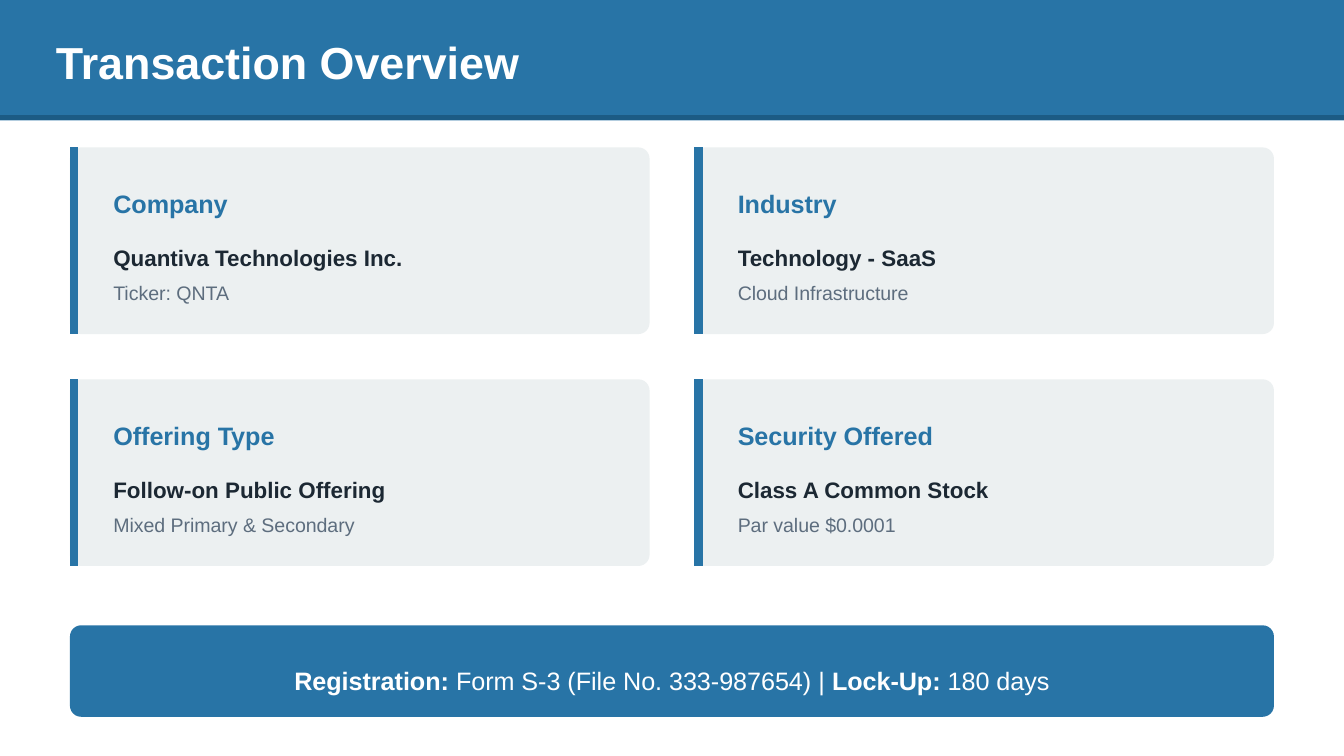
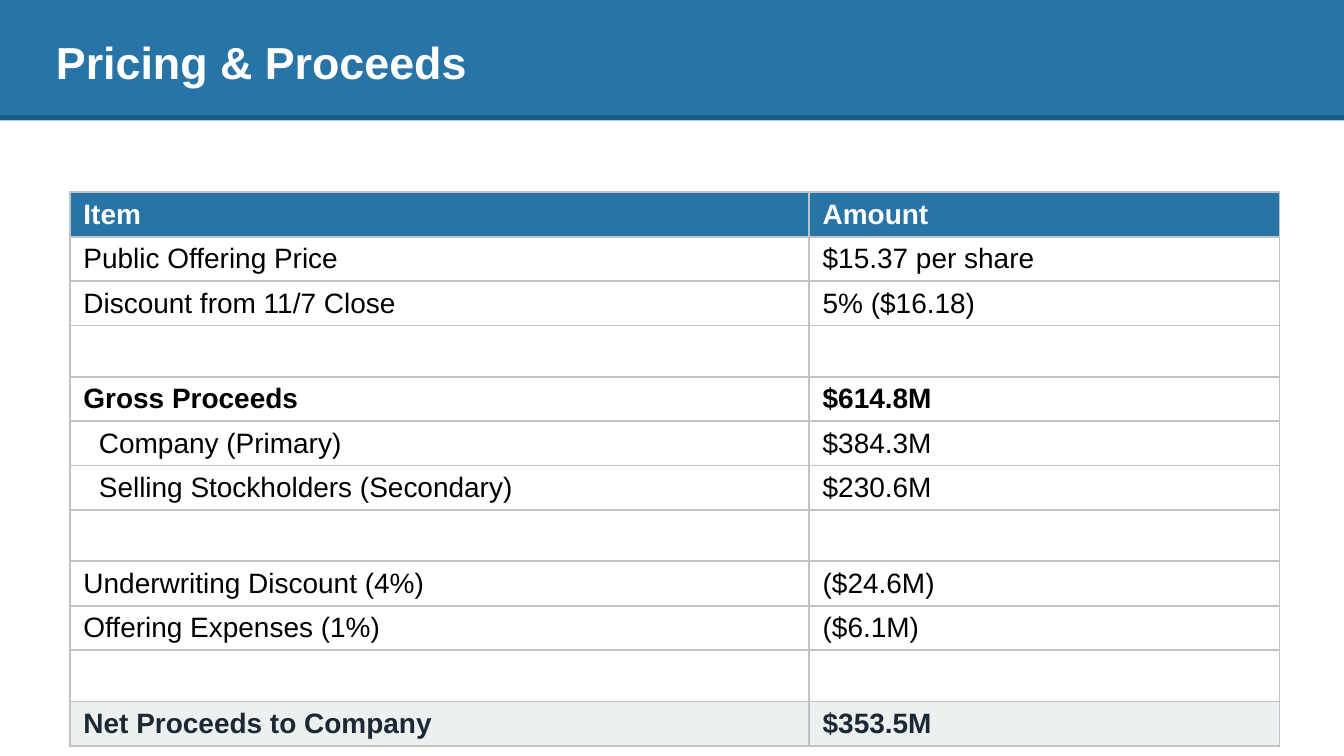
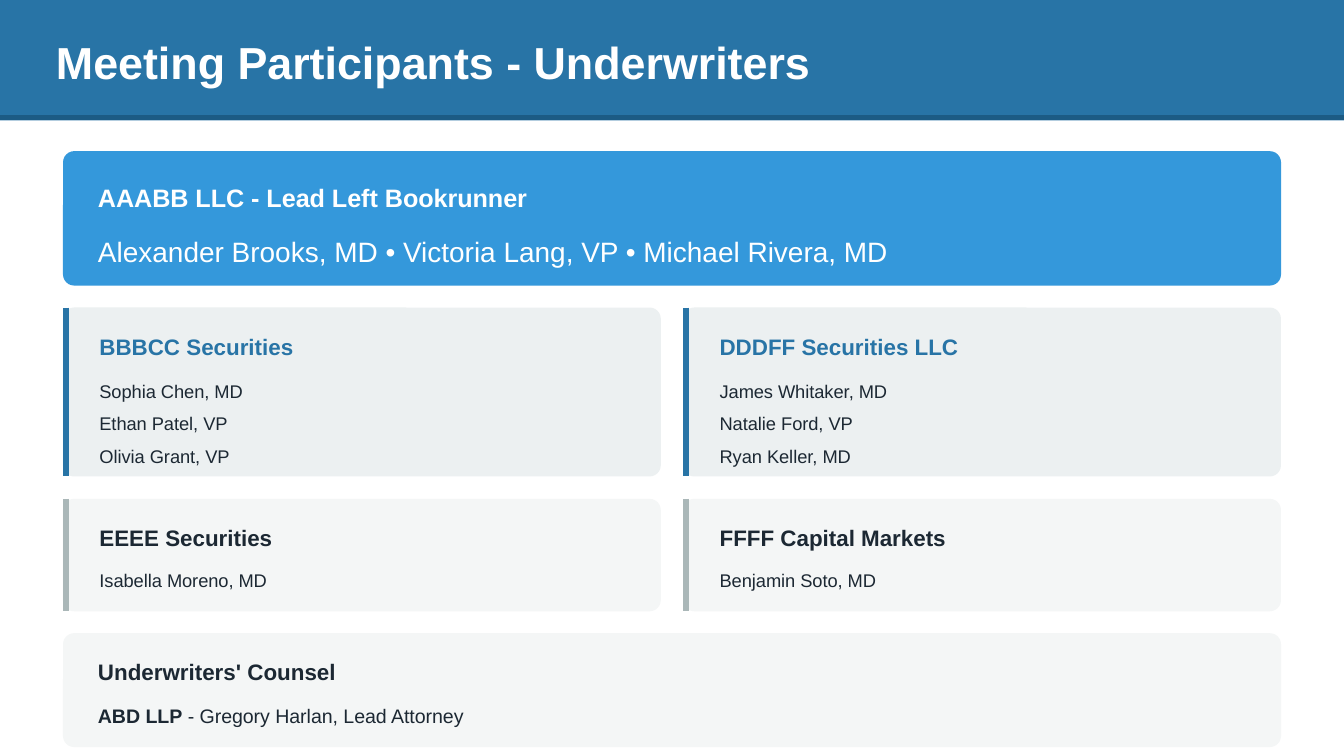
from itertools import product

from lxml import etree
from pptx import Presentation
from pptx.dml.color import RGBColor
from pptx.enum.shapes import MSO_CONNECTOR, MSO_SHAPE
from pptx.enum.text import MSO_ANCHOR, PP_ALIGN
from pptx.oxml.ns import qn
from pptx.util import Pt

RECTANGLE = MSO_SHAPE.RECTANGLE
ROUNDED = MSO_SHAPE.ROUNDED_RECTANGLE
STRAIGHT = MSO_CONNECTOR.STRAIGHT
LEFT, CENTER = PP_ALIGN.LEFT, PP_ALIGN.CENTER
TOP, MIDDLE = MSO_ANCHOR.TOP, MSO_ANCHOR.MIDDLE

WHITE = RGBColor(0xFF, 0xFF, 0xFF)
BLACK = RGBColor(0x00, 0x00, 0x00)
BLUE = RGBColor(0x28, 0x74, 0xA6)
DARK_BLUE = RGBColor(0x1C, 0x5B, 0x84)
BRIGHT_BLUE = RGBColor(0x34, 0x98, 0xDB)
INK = RGBColor(0x1C, 0x28, 0x33)
SLATE = RGBColor(0x5D, 0x6D, 0x7E)
CLOUD = RGBColor(0xEC, 0xF0, 0xF1)
MIST = RGBColor(0xF4, 0xF6, 0xF6)
STONE = RGBColor(0xAA, 0xB7, 0xB8)
BORDER = RGBColor(0xBD, 0xC3, 0xC7)

FONT = "Arial"
WIDTH, HEIGHT = 720, 405
RADIUS = 6
CELL_SIDE, CELL_EDGE = 7.2, 2.9


class Deck:
    """Holds the shared style and draws elements on the current slide."""

    def __init__(self):
        self.presentation = Presentation()
        self.presentation.slide_width = Pt(WIDTH)
        self.presentation.slide_height = Pt(HEIGHT)
        self.slide = None

    def new_slide(self, title, title_width=338):
        self.slide = self.presentation.slides.add_slide(self.presentation.slide_layouts[6])
        self.box(0, 0, WIDTH, 64.5, BLUE, RECTANGLE)
        self.line(0, 63, WIDTH, 63, DARK_BLUE, 3)
        self.text(30, 18.75, title_width, 24, title, 24, WHITE, bold=True)

    def box(self, left, top, width, height, fill, preset=ROUNDED):
        shape = self.slide.shapes.add_shape(preset, Pt(left), Pt(top), Pt(width), Pt(height))
        shape.shadow.inherit = False
        shape.fill.solid()
        shape.fill.fore_color.rgb = fill
        shape.line.fill.background()
        if preset == ROUNDED:
            shape.adjustments[0] = RADIUS / min(width, height)

    def line(self, x1, y1, x2, y2, color, weight):
        connector = self.slide.shapes.add_connector(STRAIGHT, Pt(x1), Pt(y1), Pt(x2), Pt(y2))
        connector.line.color.rgb = color
        connector.line.width = Pt(weight)
        etree.SubElement(connector._element.spPr, qn("a:effectLst"))

    def card(self, left, top, width, height, fill, stripe, weight):
        self.box(left, top, width, height, fill)
        center = left + weight / 2
        self.line(center, top, center, top + height, stripe, weight)

    def run(self, paragraph, text, size, color, bold):
        run = paragraph.add_run()
        run.text = text
        run.font.name = FONT
        run.font.size = Pt(size)
        run.font.color.rgb = color
        run.font.bold = bold

    def text(self, left, top, width, height, *lines_and_style, bold=False, spacing=1.0, align=LEFT):
        *lines, size, color = lines_and_style
        shape = self.slide.shapes.add_textbox(Pt(left), Pt(top), Pt(width), Pt(height))
        frame = shape.text_frame
        frame.word_wrap = True
        frame.vertical_anchor = TOP
        frame.margin_left = frame.margin_right = frame.margin_top = frame.margin_bottom = 0
        for index, line in enumerate(lines):
            paragraph = frame.add_paragraph() if index else frame.paragraphs[0]
            paragraph.alignment = align
            paragraph.line_spacing = spacing
            runs = [(line, bold)] if isinstance(line, str) else line
            for run_text, run_bold in runs:
                self.run(paragraph, run_text, size, color, run_bold)

    def cell_borders(self, cell):
        properties = cell._tc.get_or_add_tcPr()
        for side in ("a:lnL", "a:lnR", "a:lnT", "a:lnB"):
            border = etree.SubElement(properties, qn(side), w=str(Pt(1)))
            fill = etree.SubElement(border, qn("a:solidFill"))
            etree.SubElement(fill, qn("a:srgbClr"), val=str(BORDER))

    def table(self, left, top, column_widths, row_height, rows):
        """Draw rows of (texts, color, bold, fill, indent)."""
        frame = self.slide.shapes.add_table(
            len(rows), len(column_widths), Pt(left), Pt(top),
            Pt(sum(column_widths)), Pt(row_height * len(rows)))
        table = frame.table
        table.first_row = table.horz_banding = False
        for column, width in zip(table.columns, column_widths):
            column.width = Pt(width)
        for row, (texts, color, bold, fill, indent) in zip(table.rows, rows):
            row.height = Pt(row_height)
            for index, (cell, text) in enumerate(zip(row.cells, texts)):
                self.cell_borders(cell)
                if fill is None:
                    cell.fill.background()
                else:
                    cell.fill.solid()
                    cell.fill.fore_color.rgb = fill
                cell.vertical_anchor = MIDDLE
                cell.margin_left = Pt(CELL_SIDE + (0 if index else indent))
                cell.margin_top = cell.margin_bottom = Pt(CELL_EDGE)
                if text:
                    self.run(cell.text_frame.paragraphs[0], text, 15, color, bold)


def transaction_overview(deck):
    deck.new_slide("Transaction Overview")
    facts = [
        ("Company", "Quantiva Technologies Inc.", "Ticker: QNTA"),
        ("Industry", "Technology - SaaS", "Cloud Infrastructure"),
        ("Offering Type", "Follow-on Public Offering", "Mixed Primary & Secondary"),
        ("Security Offered", "Class A Common Stock", "Par value $0.0001"),
    ]
    positions = product((79, 203.25), (37.5, 372))
    for (top, left), (label, value, detail) in zip(positions, facts):
        deck.card(left, top, 310.5, 100, CLOUD, BLUE, 4.5)
        text_left = left + 23.25
        deck.text(text_left, top + 18.75, 273.5, 16, label, 13.5, BLUE, bold=True, spacing=1.2)
        deck.text(text_left, top + 46, 273.5, 16.5, value, 12, INK, bold=True, spacing=1.4)
        deck.text(text_left, top + 66.5, 273.5, 14.5, detail, 10.5, SLATE, spacing=1.4)
    deck.box(37.5, 335, 645, 49, BLUE)
    registration = [
        ("Registration:", True), (" Form S-3 (File No. 333-987654) | ", False),
        ("Lock-Up:", True), (" 180 days", False),
    ]
    deck.text(50, 350, 620, 19, registration, 13.5, WHITE, spacing=1.4, align=CENTER)


def pricing_and_proceeds(deck):
    deck.new_slide("Pricing & Proceeds")
    plain = (BLACK, False, None, 0)
    indented = (BLACK, False, None, 8.3)
    gap = (("", ""), *plain)
    deck.table(37.5, 103, (396, 252), 23, [
        (("Item", "Amount"), WHITE, True, BLUE, 0),
        (("Public Offering Price", "$15.37 per share"), *plain),
        (("Discount from 11/7 Close", "5% ($16.18)"), *plain),
        gap,
        (("Gross Proceeds", "$614.8M"), BLACK, True, None, 0),
        (("Company (Primary)", "$384.3M"), *indented),
        (("Selling Stockholders (Secondary)", "$230.6M"), *indented),
        gap,
        (("Underwriting Discount (4%)", "($24.6M)"), *plain),
        (("Offering Expenses (1%)", "($6.1M)"), *plain),
        gap,
        (("Net Proceeds to Company", "$353.5M"), INK, True, CLOUD, 0),
    ])


def meeting_participants(deck):
    deck.new_slide("Meeting Participants - Underwriters", 413)
    left, full_width, text_left, text_width = 33.75, 652.5, 52.5, 627
    deck.box(left, 81, full_width, 72, BRIGHT_BLUE)
    deck.text(text_left, 94.5, text_width, 16, "AAABB LLC - Lead Left Bookrunner",
              13.5, WHITE, bold=True, spacing=1.2)
    deck.text(text_left, 118.25, text_width, 21,
              "Alexander Brooks, MD • Victoria Lang, VP • Michael Rivera, MD",
              15, WHITE, spacing=1.4)

    banks = [
        ("BBBCC Securities", ("Sophia Chen, MD", "Ethan Patel, VP", "Olivia Grant, VP")),
        ("DDDFF Securities LLC", ("James Whitaker, MD", "Natalie Ford, VP", "Ryan Keller, MD")),
        ("EEEE Securities", ("Isabella Moreno, MD",)),
        ("FFFF Capital Markets", ("Benjamin Soto, MD",)),
    ]
    tiers = [
        (164.75, 90.5, CLOUD, BLUE, BLUE, 1.5, 44),
        (267.25, 60.25, MIST, STONE, INK, 1.4, 14),
    ]
    places = product(tiers, (left, left + 332.25))
    for (tier, card_left), (bank, people) in zip(places, banks):
        top, height, fill, stripe, heading, spacing, list_height = tier
        deck.card(card_left, top, 320.25, height, fill, stripe, 3)
        deck.text(card_left + 19.5, top + 13.75, 290, 13.5, bank, 12, heading, bold=True)
        deck.text(card_left + 19.5, top + 33, 290, list_height, *people, 9.75, INK,
                  spacing=spacing)

    deck.box(left, 339.25, full_width, 61, MIST)
    deck.text(text_left, 352.75, text_width, 13.5, "Underwriters' Counsel", 12, INK, bold=True)
    counsel = [("ABD LLP", True), (" - Gregory Harlan, Lead Attorney", False)]
    deck.text(text_left, 372.25, text_width, 14.5, counsel, 10.5, INK, spacing=1.4)


def main():
    deck = Deck()
    transaction_overview(deck)
    pricing_and_proceeds(deck)
    meeting_participants(deck)
    deck.presentation.save("out.pptx")


if __name__ == "__main__":
    main()
